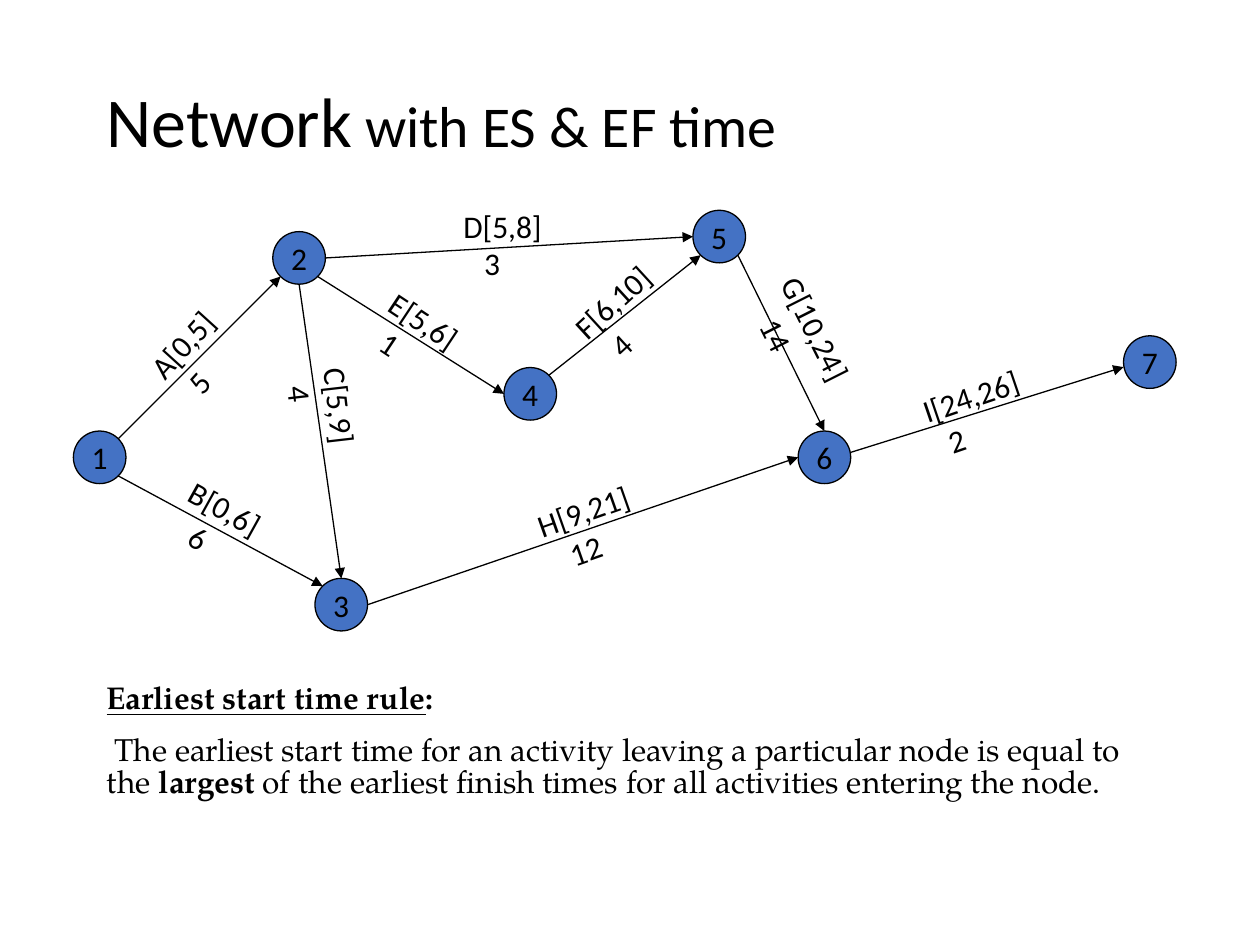
from math import cos, radians, sin

from lxml import etree
from pptx import Presentation
from pptx import util as u
from pptx.dml.color import RGBColor
from pptx.enum import shapes, text
from pptx.oxml.ns import qn

COLORS = {"ink": "000000", "node": "4472C4"}
SANS, SERIF = "Calibri", "TeX Gyre Pagella"
DIAMETER = 1.06
LABEL_HEIGHT = 1.78
SPACE = 0.14

TITLE = [("Network", 40), (" with ES & EF time", 33)]
NODES = {
    "1": (1.48, 8.69),
    "2": (5.5, 4.67),
    "3": (6.35, 11.66),
    "4": (10.16, 7.41),
    "5": (13.97, 4.24),
    "6": (16.09, 8.69),
    "7": (22.65, 6.77),
}
SITES = ["top", "top left", "left", "bottom left",
         "bottom", "bottom right", "right", "top right"]
ACTIVITIES = [
    ("1", "top right", "2", "bottom left", 0),
    ("1", "bottom right", "3", "top left", 0),
    ("2", "bottom", "3", "top", 0),
    ("2", "bottom right", "4", "left", 0),
    ("2", "right", "5", "left", 0),
    ("4", "top right", "5", "bottom left", 0),
    ("5", "bottom right", "6", "top", 0),
    ("3", "right", "6", "left", 0),
    ("6", "right", "7", "left", 0.1),
]
LABELS = [
    ("A[0,5]", 0, "5", 2, 2.87, 6.2, 2.36, 312.2),
    ("B[0,6]", 1, "6", 4, 3.18, 9.75, 2.54, 29),
    ("C[5,9]", 0, "4", 2, 5.23, 7.59, 2.54, 83.4),
    ("D[5,8]", 0, "3", 3, 9.09, 4.04, 2.54, 0),
    ("E[5,6]", 0, "1", 2, 7.32, 5.94, 2.16, 33.6),
    ("F[6,10]", 0, "4", 2, 11.43, 5.44, 2.41, 317.5),
    ("G[10,24]", 0, "14", 4, 14.67, 6.01, 2.97, 63.3),
    ("H[9,21]", 1, "12", 4, 10.52, 9.68, 3.23, 340.6),
    ("I[24,26]", 0, "2", 2, 18.42, 7.34, 3.2, 341.2),
]
RULE = [
    [("Earliest start time rule", True, True), (":", True, False)],
    [(" The earliest start time for an activity leaving a particular node is equal to the ", False, False),
     ("largest ", True, False),
     ("of the earliest finish times for all activities entering the node.", False, False)],
]


def color(key):
    return RGBColor.from_string(COLORS[key])


def style(paragraph, font=SANS, size=18):
    paragraph.font.name = font
    paragraph.font.size = u.Pt(size)
    paragraph.font.color.rgb = color("ink")


def site_point(node, site):
    left, top = NODES[node]
    angle = radians(90 + 45 * SITES.index(site))
    radius = DIAMETER / 2
    return left + radius + radius * cos(angle), top + radius - radius * sin(angle)


def add_node(slide, number, left, top):
    node = slide.shapes.add_shape(shapes.MSO_SHAPE.OVAL, u.Cm(left), u.Cm(top),
                                  u.Cm(DIAMETER), u.Cm(DIAMETER))
    node.shadow.inherit = False
    node.fill.solid()
    node.fill.fore_color.rgb = color("node")
    node.line.color.rgb = color("ink")
    node.line.width = u.Pt(0.75)
    frame = node.text_frame
    frame.word_wrap = False
    frame.vertical_anchor = text.MSO_ANCHOR.MIDDLE
    frame.text = number
    frame.paragraphs[0].alignment = text.PP_ALIGN.CENTER
    style(frame.paragraphs[0])
    return node


def add_activity(slide, nodes, start, start_site, end, end_site, nudge):
    x1, y1 = site_point(start, start_site)
    x2, y2 = site_point(end, end_site)
    arrow = slide.shapes.add_connector(
        shapes.MSO_CONNECTOR.STRAIGHT, u.Cm(x1), u.Cm(y1 - nudge), u.Cm(x2), u.Cm(y2 + nudge))
    arrow.line.color.rgb = color("ink")
    arrow.line.width = u.Pt(0.75)
    etree.SubElement(arrow.line._get_or_add_ln(), qn("a:tailEnd"), type="triangle")
    etree.SubElement(arrow._element.spPr, qn("a:effectLst"))
    if not nudge:
        joints = arrow._element.nvCxnSpPr.cNvCxnSpPr
        for tag, node, site in (("a:stCxn", start, start_site), ("a:endCxn", end, end_site)):
            etree.SubElement(joints, qn(tag), id=str(nodes[node].shape_id),
                             idx=str(SITES.index(site)))


def add_label(slide, activity, activity_indent, duration, duration_indent,
              left, top, width, rotation):
    label = slide.shapes.add_textbox(u.Cm(left), u.Cm(top), u.Cm(width), u.Cm(LABEL_HEIGHT))
    label.rotation = rotation
    frame = label.text_frame
    frame.word_wrap = True
    frame.text = f"{activity}\n{duration}"
    for paragraph, indent in zip(frame.paragraphs, (activity_indent, duration_indent)):
        style(paragraph)
        paragraph._p.get_or_add_pPr().set("marL", str(u.Cm(indent * SPACE)))


def add_title(slide):
    title = slide.shapes.title
    title.left, title.top, title.width, title.height = map(u.Cm, (1.9, 1.47, 22.02, 2.11))
    title.text_frame.vertical_anchor = text.MSO_ANCHOR.MIDDLE
    heading = title.text_frame.paragraphs[0]
    heading.alignment = text.PP_ALIGN.LEFT
    heading.line_spacing = 0.9
    style(heading)
    for words, size in TITLE:
        run = heading.add_run()
        run.text = words
        run.font.size = u.Pt(size)


def add_rule(slide):
    rule = slide.shapes.add_textbox(u.Cm(1.9), u.Cm(13.67), u.Cm(21.16), u.Cm(3.25))
    frame = rule.text_frame
    frame.word_wrap = True
    for index, parts in enumerate(RULE):
        paragraph = frame.add_paragraph() if index else frame.paragraphs[0]
        paragraph.line_spacing = 0.85
        paragraph.space_before = u.Pt(11.2)
        style(paragraph, SERIF)
        for words, bold, underline in parts:
            run = paragraph.add_run()
            run.text = words
            run.font.bold = bold
            run.font.underline = underline


def main():
    deck = Presentation()
    deck.slide_width, deck.slide_height = u.Cm(25.4), u.Cm(19.05)
    slide = deck.slides.add_slide(deck.slide_layouts[5])
    add_title(slide)
    nodes = {number: add_node(slide, number, *place) for number, place in NODES.items()}
    for activity in ACTIVITIES:
        add_activity(slide, nodes, *activity)
    for label in LABELS:
        add_label(slide, *label)
    add_rule(slide)
    deck.save("out.pptx")


if __name__ == "__main__":
    main()
